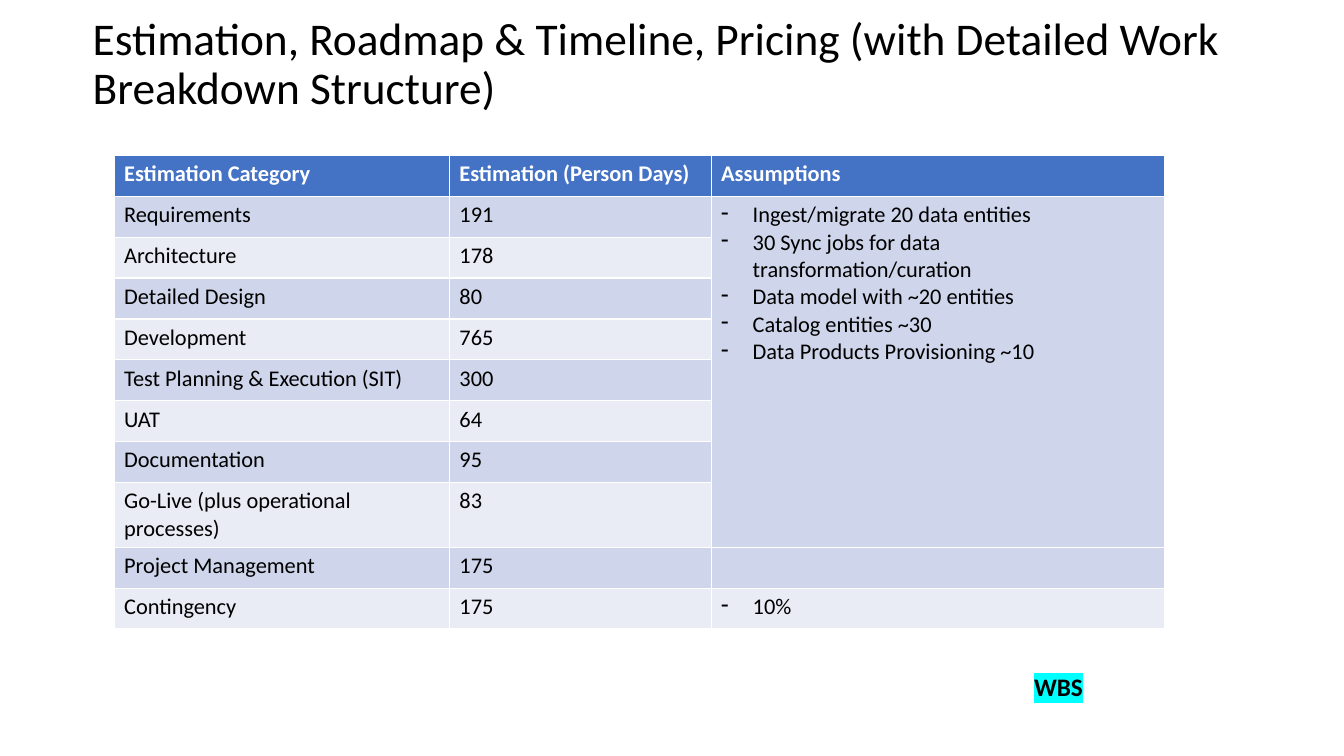
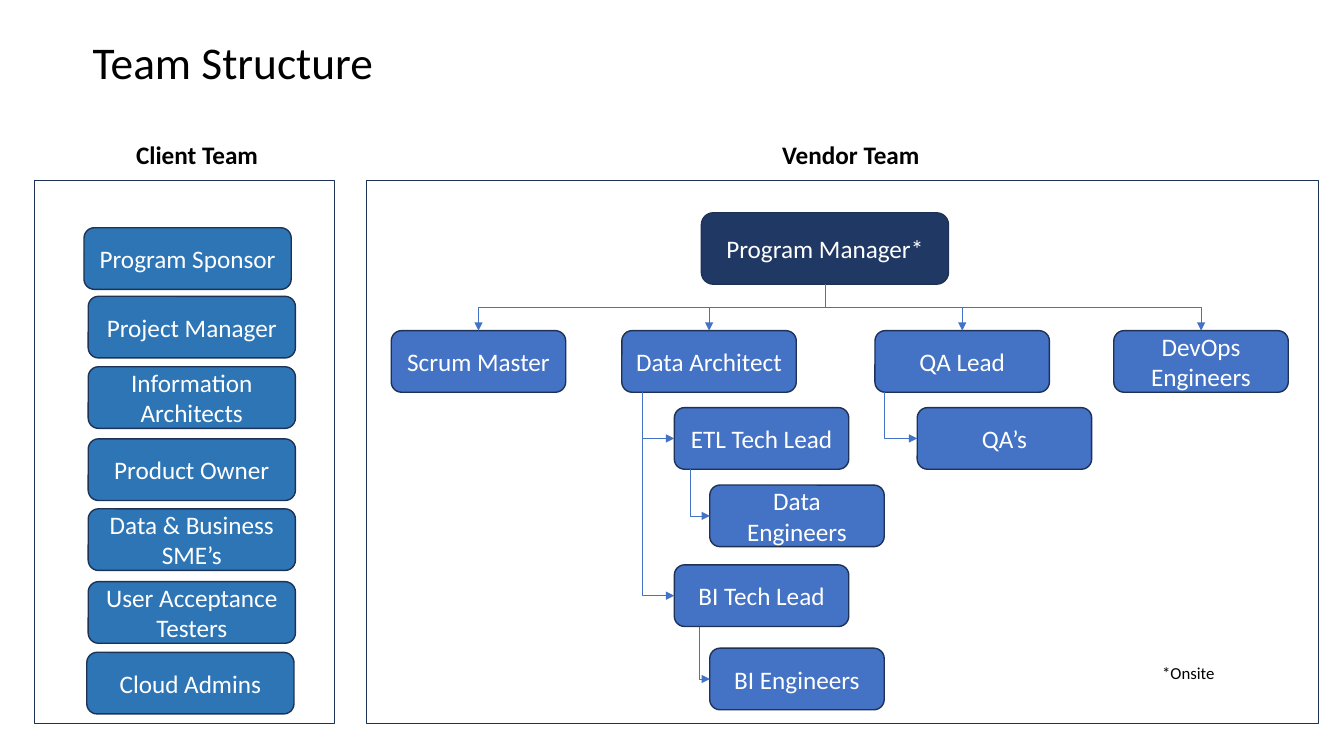
import lxml.etree
import pptx
import pptx.dml.color
import pptx.enum.shapes
import pptx.enum.text
import pptx.oxml.ns
import pptx.util

Pt = pptx.util.Pt
qn = pptx.oxml.ns.qn
SHAPE = pptx.enum.shapes.MSO_SHAPE
ALIGN = pptx.enum.text.PP_ALIGN
ANCHOR = pptx.enum.text.MSO_ANCHOR

BLACK, WHITE = "000000", "FFFFFF"
NAVY, OUTLINE = "203864", "1E3256"
BLUE, CLIENT_BLUE = "4472C4", "2E75B6"
BANDS = ("CFD5EA", "E9EBF5")
HIGHLIGHT = "00FFFF"


def rgb(code):
    return pptx.dml.color.RGBColor.from_string(code)


class Deck:
    """The shared style and the slide being built."""

    font_name = "Calibri"

    def __init__(self):
        self.presentation = pptx.Presentation()
        self.presentation.slide_width = Pt(960)
        self.presentation.slide_height = Pt(540)
        self.slide = None

    def new_slide(self, heading):
        layout = self.presentation.slide_layouts.get_by_name("Title Only")
        self.slide = self.presentation.slides.add_slide(layout)
        title = self.slide.shapes.title
        title.left, title.top, title.width, title.height = Pt(59), Pt(24.5), Pt(828), Pt(44)
        frame = title.text_frame
        frame.auto_size = pptx.enum.text.MSO_AUTO_SIZE.NONE
        frame.vertical_anchor = ANCHOR.MIDDLE
        self.set_text(frame, heading, 32.4)
        frame.paragraphs[0].line_spacing = 0.9

    def set_text(self, frame, text, size=18, color=BLACK, bold=False, align=ALIGN.LEFT):
        """Fill a text frame, one paragraph for each line of text."""
        frame.text = text
        frame.word_wrap = True
        for paragraph in frame.paragraphs:
            paragraph.alignment = align
            font = paragraph.font
            font.name, font.size, font.bold = self.font_name, Pt(size), bold
            font.color.rgb = rgb(color)

    def label(self, text, left, top, width, height, **style):
        box = self.slide.shapes.add_textbox(Pt(left), Pt(top), Pt(width), Pt(height))
        self.set_text(box.text_frame, text, **style)
        return box.text_frame.paragraphs[0]

    def highlight(self, paragraph, color):
        properties = paragraph.runs[0]._r.get_or_add_rPr()
        mark = lxml.etree.SubElement(properties, qn("a:highlight"))
        lxml.etree.SubElement(mark, qn("a:srgbClr"), val=color)

    def outlined(self, kind, left, top, width, height):
        shape = self.slide.shapes.add_shape(kind, Pt(left), Pt(top), Pt(width), Pt(height))
        shape.shadow.inherit = False
        shape.line.color.rgb = rgb(OUTLINE)
        shape.line.width = Pt(1)
        return shape

    def panel(self, left, top, width, height):
        self.outlined(SHAPE.RECTANGLE, left, top, width, height).fill.background()

    def role(self, text, left, top, width=124.6, height=44, fill=BLUE):
        box = self.outlined(SHAPE.ROUNDED_RECTANGLE, left, top, width, height)
        box.fill.solid()
        box.fill.fore_color.rgb = rgb(fill)
        box.text_frame.vertical_anchor = ANCHOR.MIDDLE
        self.set_text(box.text_frame, text, color=WHITE, align=ALIGN.CENTER)
        return box

    def elbow(self):
        arrow = self.slide.shapes.add_connector(
            pptx.enum.shapes.MSO_CONNECTOR.ELBOW, 0, 0, 0, 0)
        arrow.line.color.rgb = rgb(BLUE)
        arrow.line.width = Pt(0.5)
        outline = arrow._element.spPr.find(qn("a:ln"))
        lxml.etree.SubElement(outline, qn("a:tailEnd"), type="triangle")
        lxml.etree.SubElement(arrow._element.spPr, qn("a:effectLst"))
        return arrow

    def route(self, arrow, x1, y1, x2, y2):
        """Turn an elbow so that it leaves its start downwards."""
        arrow.width, arrow.height = y2 - y1, abs(x2 - x1)
        arrow.left = (x1 + x2 - arrow.width) // 2
        arrow.top = (y1 + y2 - arrow.height) // 2
        xfrm = arrow._element.spPr.find(qn("a:xfrm"))
        for flip in ("flipH", "flipV"):
            xfrm.attrib.pop(flip, None)
        if x2 < x1:
            xfrm.set("rot", "5400000")
        else:
            xfrm.set("rot", "16200000")
            xfrm.set("flipH", "1")

    def report(self, manager, lead):
        """Arrow from the manager's bottom to the lead's top."""
        arrow = self.elbow()
        arrow.begin_connect(manager, 2)
        arrow.end_connect(lead, 0)
        self.route(arrow, manager.left + manager.width // 2, manager.top + manager.height,
                   lead.left + lead.width // 2, lead.top)

    def branch(self, lead, member, x):
        """Arrow down from the lead at x, then right to the member's side."""
        arrow = self.elbow()
        arrow._element.spPr.find(qn("a:prstGeom")).set("prst", "bentConnector2")
        self.route(arrow, Pt(x), lead.top + lead.height,
                   member.left, member.top + member.height // 2)

    def table(self, rows, left, top, widths, row_height):
        table = self.slide.shapes.add_table(
            len(rows), len(widths), Pt(left), Pt(top),
            Pt(sum(widths)), Pt(row_height * len(rows))).table
        for column, width in zip(table.columns, widths):
            column.width = Pt(width)
        for r, row in enumerate(rows):
            table.rows[r].height = Pt(row_height)
            for c, text in enumerate(row):
                cell = table.cell(r, c)
                cell.fill.solid()
                cell.fill.fore_color.rgb = rgb(BANDS[(r - 1) % 2] if r else BLUE)
                if text:
                    self.set_text(cell.text_frame, text, 16, BLACK if r else WHITE, bold=r == 0)
        return table

    def dash(self, cell):
        for paragraph in cell.text_frame.paragraphs:
            properties = paragraph._p.get_or_add_pPr()
            properties.set("marL", str(Pt(22.5)))
            properties.set("indent", str(-Pt(22.5)))
            bullet = lxml.etree.Element(qn("a:buChar"), char="-")
            properties.insert(0, bullet)


def estimation(deck):
    deck.new_slide("Estimation, Roadmap & Timeline, Pricing (with Detailed Work Breakdown Structure)")
    assumptions = "\n".join((
        "Ingest/migrate 20 data entities",
        "30 Sync jobs for data transformation/curation",
        "Data model with ~20 entities",
        "Catalog entities ~30",
        "Data Products Provisioning ~10",
    ))
    rows = [
        ("Estimation Category", "Estimation (Person Days)", "Assumptions"),
        ("Requirements", "191", assumptions),
        ("Architecture", "178", ""),
        ("Detailed Design", "80", ""),
        ("Development", "765", ""),
        ("Test Planning & Execution (SIT)", "300", ""),
        ("UAT", "64", ""),
        ("Documentation", "95", ""),
        ("Go-Live (plus operational processes)", "83", ""),
        ("Project Management", "175", ""),
        ("Contingency", "175", "10%"),
    ]
    estimates = deck.table(rows, 81.5, 111, (239.5, 187, 324), 29.2)
    estimates.cell(1, 2).merge(estimates.cell(8, 2))
    for row in (1, 10):
        deck.dash(estimates.cell(row, 2))
    deck.highlight(deck.label("WBS", 731.5, 476, 114.5, 29, bold=True), HIGHLIGHT)


def team_structure(deck):
    deck.new_slide("Team Structure")
    for team, label_left, left, width in (("Client Team", 60, 24.5, 214.5),
                                          ("Vendor Team", 527, 262, 680)):
        deck.panel(left, 129, width, 388)
        deck.label(team, label_left, 96, 161.5, 29, bold=True, align=ALIGN.CENTER)

    for client, left, top in (
        ("Program Sponsor", 60, 162.7),
        ("Project Manager", 63, 211.7),
        ("Information Architects", 63, 262),
        ("Product Owner", 63, 313.5),
        ("Data & Business SME’s", 63, 363.5),
        ("User Acceptance Testers", 63, 415.5),
        ("Cloud Admins", 62, 466),
    ):
        deck.role(client, left, top, width=148, fill=CLIENT_BLUE)

    manager = deck.role("Program Manager*", 501, 152, 176.5, 51, NAVY)
    people = {}
    for lead, left in (("Scrum Master", 279.5), ("Data Architect", 444.2),
                       ("QA Lead", 625), ("DevOps Engineers", 795.6)):
        people[lead] = deck.role(lead, left, 236.2)
        deck.report(manager, people[lead])

    for lead, member, left, top, branch_x in (
        ("Data Architect", "ETL Tech Lead", 481.7, 291.2, 459.2),
        ("ETL Tech Lead", "Data Engineers", 507, 346.5, 493.2),
        ("Data Architect", "BI Tech Lead", 481.7, 403.5, 459.2),
        ("BI Tech Lead", "BI Engineers", 507, 463, 499.5),
        ("QA Lead", "QA’s", 655.2, 291.2, 631.5),
    ):
        people[member] = deck.role(member, left, top)
        deck.branch(people[lead], people[member], branch_x)
    deck.label("*Onsite", 823, 470, 119, 21.6, size=12)


def main():
    deck = Deck()
    estimation(deck)
    team_structure(deck)
    deck.presentation.save("out.pptx")


if __name__ == "__main__":
    main()
